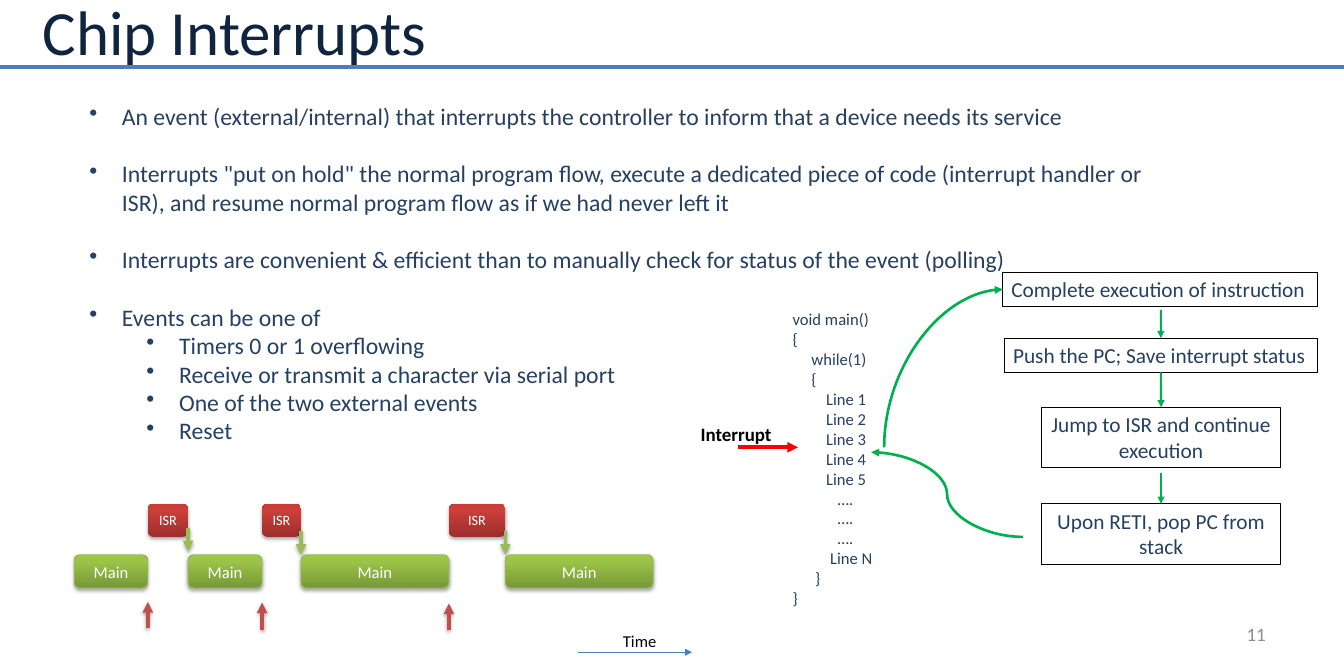
from copy import deepcopy
from dataclasses import dataclass
from typing import NamedTuple, Optional

from lxml import etree
from pptx import Presentation
from pptx import util as u
from pptx.dml.color import RGBColor
from pptx.enum import shapes, text
from pptx.oxml import ns


@dataclass(frozen=True)
class Theme:
    font: str = "Calibri"
    title: str = "0F243E"
    body: str = "254061"
    number: str = "8C8C8C"
    black: str = "000000"
    white: str = "FFFFFF"
    blue: str = "4B7EBC"
    green: str = "00B050"
    red: str = "FF0000"
    main_edge: str = "98B955"
    main_fill: tuple = ("779737", "9BC348", "9DC746")
    isr_fill: tuple = ("9C2F2D", "CB3E3A", "CE3B37")
    return_arrow: str = "9BBB59"
    request_arrow: str = "C0504D"
    title_size: float = 53.1
    body_size: float = 20
    step_size: float = 18
    label_size: float = 16
    code_size: float = 14
    isr_size: float = 12


THEME = Theme()
LEFT, CENTER, RIGHT = text.PP_ALIGN.LEFT, text.PP_ALIGN.CENTER, text.PP_ALIGN.RIGHT
TOP, MIDDLE = text.MSO_ANCHOR.TOP, text.MSO_ANCHOR.MIDDLE
STRAIGHT, CURVE = shapes.MSO_CONNECTOR.STRAIGHT, shapes.MSO_CONNECTOR.CURVE


class Area(NamedTuple):
    left: float
    top: float
    width: float
    height: float


class Line(NamedTuple):
    words: str
    indent: float = 0
    hanging: float = 0
    gap: float = 0


class Style(NamedTuple):
    size: float
    color: str
    align: text.PP_ALIGN = LEFT
    anchor: text.MSO_ANCHOR = TOP
    wrap: bool = True
    bold: bool = False


class Slot(NamedTuple):
    width: float
    request_top: Optional[float] = None  # set for an ISR slot only
    request_length: float = 0
    return_top: float = 0


class Step(NamedTuple):
    words: str
    area: Area
    align: text.PP_ALIGN
    wrap: bool
    arrow_top: Optional[float] = None  # where the incoming arrow starts


HANG = 0.97
BULLETS = [
    Line("An event (external/internal) that interrupts the controller to inform that a device needs its service", HANG, HANG),
    Line('Interrupts "put on hold" the normal program flow, execute a dedicated piece of code (interrupt handler or ISR), '
         "and resume normal program flow as if we had never left it", HANG, HANG, 24.4),
    Line("Interrupts are convenient & efficient than to manually check for status of the event (polling)", HANG, HANG, 24.4),
    Line("Events can be one of", HANG, HANG, 24.4),
    *(Line(event, 2.67, HANG) for event in (
        "Timers 0 or 1 overflowing", "Receive or transmit a character via serial port",
        "One of the two external events", "Reset")),
]
CODE = [
    Line("void main()"), Line("{"), Line("while(1)", 0.56), Line("{", 0.56),
    *(Line(f"Line {number}", 1.0) for number in range(1, 6)),
    *[Line("….", 1.34)] * 3,
    Line("Line N", 1.12), Line("}", 0.67), Line("}"),
]
TIMELINE = [
    Slot(2.19), Slot(1.2, 17.91, 0.78, 15.7),
    Slot(2.2), Slot(1.16, 17.93, 0.82, 15.8),
    Slot(4.4), Slot(1.68, 17.96, 0.79, 15.8),
    Slot(4.4),
]
STEPS = [
    Step("Complete execution of instruction", Area(29.85, 8.1, 9.37, 1.02), LEFT, False),
    Step("Push the PC; Save interrupt status", Area(29.9, 10.06, 9.3, 1.02), LEFT, False, 9.22),
    Step("Jump to ISR and continue execution", Area(31.01, 12.12, 7.09, 1.8), CENTER, True, 11.08),
    Step("Upon RETI, pop PC from stack", Area(31.01, 14.99, 7.09, 1.8), CENTER, True, 14.07),
]


def cms(*lengths: float) -> list:
    return [u.Cm(length) for length in lengths]


def add_child(parent, tag: str, **attributes: str):
    return etree.SubElement(parent, ns.qn(tag), attributes)


def write(shape, lines: list, style: Style, inset: tuple = (0.25, 0.13)) -> None:
    frame = shape.text_frame
    frame.word_wrap, frame.vertical_anchor = style.wrap, style.anchor
    frame.margin_left = frame.margin_right = u.Cm(inset[0])
    frame.margin_top = frame.margin_bottom = u.Cm(inset[1])
    for index, line in enumerate(lines):
        para = frame.add_paragraph() if index else frame.paragraphs[0]
        para.alignment, para.space_before = style.align, u.Pt(line.gap)
        properties = para._p.get_or_add_pPr()
        properties.set("marL", str(u.Cm(line.indent)))
        properties.set("indent", str(-u.Cm(line.hanging)))
        if line.hanging:
            add_child(properties, "a:buChar", char="•")
        span = para.add_run()
        span.text = line.words
        span.font.name, span.font.size, span.font.bold = THEME.font, u.Pt(style.size), style.bold
        span.font.color.rgb = RGBColor.from_string(style.color)


def add_label(page, area: Area, lines: list, style: Style, inset: tuple = (0.25, 0.13)) -> None:
    write(page.shapes.add_textbox(*cms(*area)), lines, style, inset)


def add_shadow(effects) -> None:
    shadow = add_child(effects, "a:outerShdw", blurRad="40000", dist="23000", dir="5400000", rotWithShape="0")
    add_child(add_child(shadow, "a:srgbClr", val=THEME.black), "a:alpha", val="35000")


def add_box(page, kind: shapes.MSO_SHAPE, area: Area, edge: Optional[str]):
    box = page.shapes.add_shape(kind, *cms(*area))
    box.shadow.inherit = False
    box.fill.background()
    if edge:
        box.line.color.rgb, box.line.width = RGBColor.from_string(edge), u.Pt(0.75)
    else:
        box.line.fill.background()
    return box


def add_line(page, points: tuple, color: str, width: float, arrow: bool = True,
             shadow: bool = False, kind: shapes.MSO_CONNECTOR = STRAIGHT):
    line = page.shapes.add_connector(kind, *cms(*points))
    line.line.color.rgb, line.line.width = RGBColor.from_string(color), u.Pt(width)
    if arrow:
        add_child(line.line._get_or_add_ln(), "a:tailEnd", type="triangle")
    effects = add_child(line._element.spPr, "a:effectLst")
    if shadow:
        add_shadow(effects)
    return line


def add_slot(page, name: str, area: Area, colors: tuple, edge: Optional[str], size: float) -> None:
    box = add_box(page, shapes.MSO_SHAPE.ROUNDED_RECTANGLE, area, edge)
    box.fill.gradient()
    box.fill.gradient_angle = 90
    stops = box._element.spPr.find(ns.qn("a:gradFill")).find(ns.qn("a:gsLst"))
    stops.insert(1, deepcopy(stops[0]))
    for stop, color, position in zip(box.fill.gradient_stops, colors, (0, 0.8, 1)):
        stop.color.rgb, stop.position = RGBColor.from_string(color), position
    add_shadow(box._element.spPr.find(ns.qn("a:effectLst")))
    write(box, [Line(name)], Style(size, THEME.white, CENTER, MIDDLE))


def draw_timeline(page) -> None:
    x = 2.21
    for slot in TIMELINE:
        end = x + slot.width
        if slot.request_top is None:
            add_slot(page, "Main", Area(x, 16.51, slot.width, 0.99), THEME.main_fill, THEME.main_edge, THEME.code_size)
        else:
            add_slot(page, "ISR", Area(x, 14.99, slot.width, 0.99), THEME.isr_fill, None, THEME.isr_size)
            add_line(page, (x, slot.request_top + slot.request_length, x, slot.request_top),
                     THEME.request_arrow, 3, shadow=True)
            add_line(page, (end, slot.return_top, end, slot.return_top + 0.71), THEME.return_arrow, 3, shadow=True)
        x = end
    add_line(page, (17.2, 19.41, 20.6, 19.41), THEME.blue, 0.75)
    add_label(page, Area(18.29, 18.64, 1.52, 0.86), [Line("Time")], Style(THEME.code_size, THEME.black, wrap=False))


def draw_steps(page) -> None:
    previous = None
    for step in STEPS:
        box = add_box(page, shapes.MSO_SHAPE.RECTANGLE, step.area, THEME.black)
        write(box, [Line(step.words)], Style(THEME.step_size, THEME.body, step.align, wrap=step.wrap))
        if step.arrow_top:
            middle = step.area.left + step.area.width / 2
            arrow = add_line(page, (middle, step.arrow_top, middle, step.area.top), THEME.green, 1.75)
            if u.Cm(step.arrow_top) <= previous.top + previous.height:
                arrow.begin_connect(previous, 2)
            arrow.end_connect(box, 0)
        previous = box


def main() -> None:
    deck = Presentation()
    deck.slide_width, deck.slide_height = cms(40, 19.79)
    page = deck.slides.add_slide(deck.slide_layouts[6])

    # Heading, bullets and page number
    wide = (0.33, 0.18)
    add_label(page, Area(0.94, 0, 31.04, 1.8), [Line("Chip Interrupts")],
              Style(THEME.title_size, THEME.title, anchor=MIDDLE), wide)
    add_line(page, (0, 2, 40, 2), THEME.blue, 3, arrow=False)
    add_label(page, Area(2.41, 2.9, 33, 10.52), BULLETS, Style(THEME.body_size, THEME.body))
    add_label(page, Area(28.68, 18.34, 9.32, 1.04), [Line("11")],
              Style(THEME.label_size, THEME.number, RIGHT, MIDDLE), wide)

    draw_timeline(page)

    # Program listing with the interrupt arriving
    add_label(page, Area(23.34, 9.07, 12.6, 9.25), CODE, Style(THEME.code_size, THEME.body))
    add_line(page, (21.95, 13.31, 23.75, 13.31), THEME.red, 3)
    add_label(page, Area(20.6, 12.45, 2.67, 0.94), [Line("Interrupt")],
              Style(THEME.label_size, THEME.black, wrap=False, bold=True))

    # Handling steps, with curves out of and back into the program
    draw_steps(page)
    leave = add_line(page, (30.43, 12.73, 25.73, 9.2), THEME.green, 2.25, kind=CURVE)
    leave._element.spPr.find(ns.qn("a:xfrm")).set("rot", "5400000")
    leave._element.spPr.find(ns.qn("a:prstGeom")).set("prst", "curvedConnector2")
    add_line(page, (30.45, 15.98, 25.93, 13.46), THEME.green, 2.25, kind=CURVE)

    deck.save("out.pptx")


if __name__ == "__main__":
    main()
